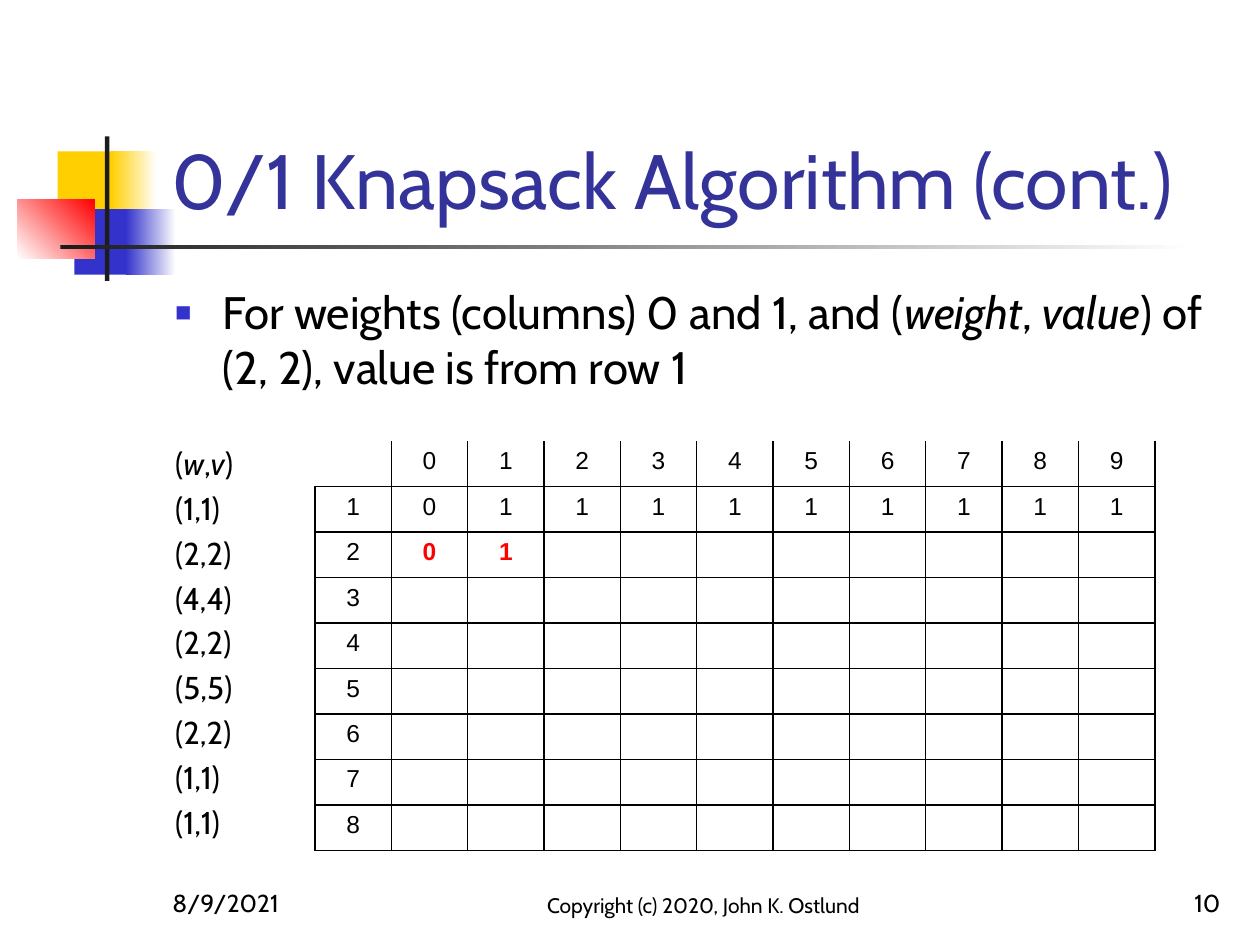
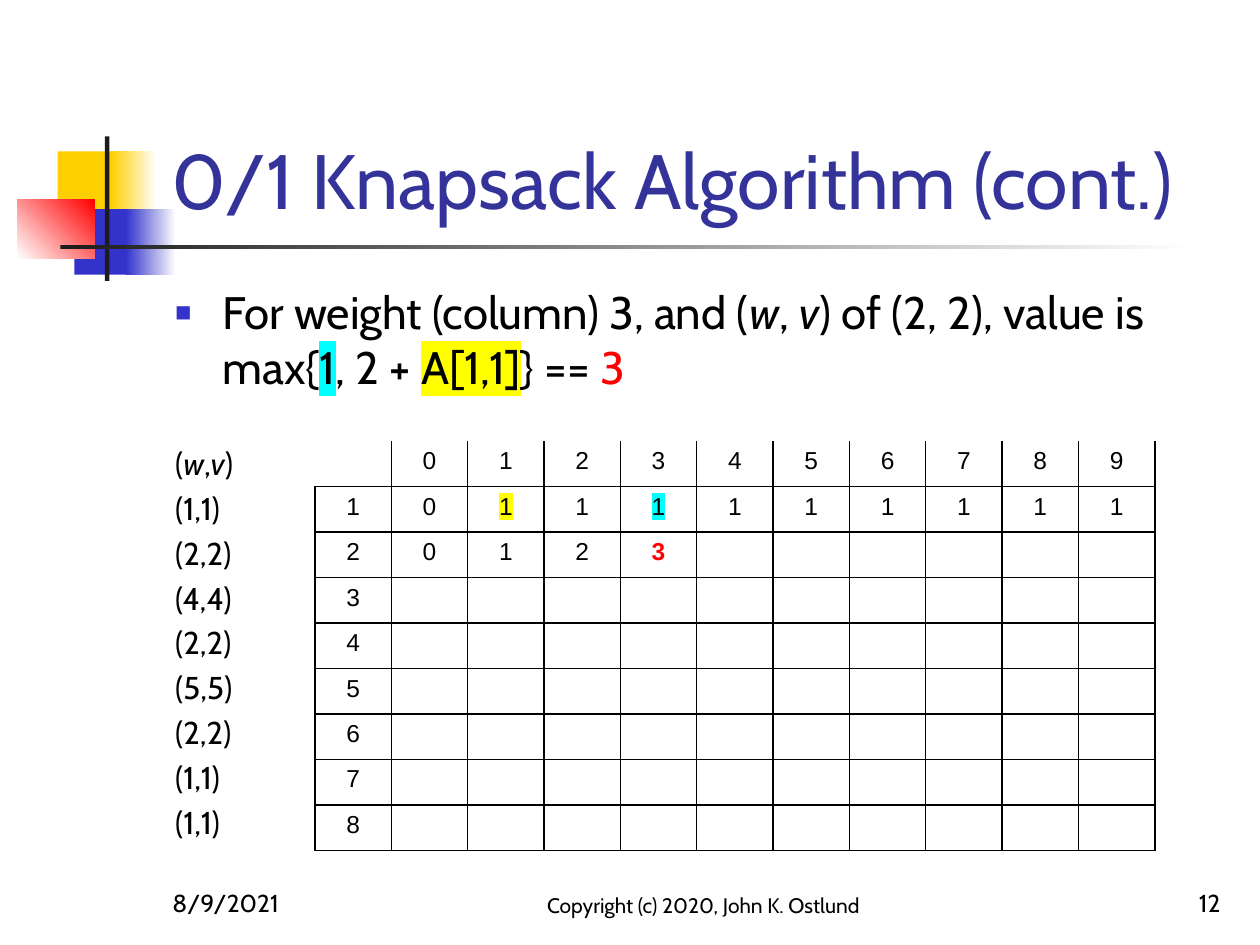
import pptx
import pptx.dml.color
import pptx.enum.shapes
import pptx.enum.text
import pptx.oxml
import pptx.oxml.ns
import pptx.util

Pt = pptx.util.Pt
ALIGN = pptx.enum.text.PP_ALIGN
ANCHOR = pptx.enum.text.MSO_ANCHOR

BLACK, WHITE, RED = "000000", "FFFFFF", "FF0000"
GOLD, BLUE, CHARCOAL, TITLE_BLUE = "FFCF01", "3333CC", "1C1C1C", "333399"
CYAN, YELLOW = "00FFFF", "FFFF00"
TEXT_FONT, GRID_FONT = "Cabin", "Arial"

ITALIC = {"italic": True}
ANSWER = {"color": RED, "bold": True}
TITLE = "0/1 Knapsack Algorithm (cont.)"
DATE = "8/9/2021"
COPYRIGHT = "Copyright (c) 2020, John K. Ostlund"
PAIRS = ["(1,1)", "(2,2)", "(4,4)", "(2,2)", "(5,5)", "(2,2)", "(1,1)", "(1,1)"]
CAPACITIES = [str(w) for w in range(10)]
FIRST_ROW = ["0"] + ["1"] * 9

SLIDES = [
    {
        "number": "10",
        "statement": [
            ("For weights (columns) 0 and 1, and (", {}), ("weight", ITALIC), (", ", {}),
            ("value", ITALIC), (") of (2, 2), value is from row 1", {}),
        ],
        "second_row": ["0", "1"],
        "marks": {(2, 1): ANSWER, (2, 2): ANSWER},
    },
    {
        "number": "12",
        "statement": [
            ("For weight (column) 3, and (", {}), ("w", ITALIC), (", ", {}), ("v", ITALIC),
            (") of (2, 2), value is max{", {}), ("1", {"highlight": CYAN}), (", 2 + ", {}),
            ("A[1,1]", {"highlight": YELLOW}), ("} == ", {}), ("3", {"color": RED}),
        ],
        "second_row": ["0", "1", "2", "3"],
        "marks": {(1, 2): {"highlight": YELLOW}, (1, 4): {"highlight": CYAN}, (2, 4): ANSWER},
    },
]

EMBLEM = [
    ((33, 86.5, 34.5, 37.5), [GOLD], 0),
    ((63.5, 86.5, 26, 37.5), [GOLD, WHITE], 0),
    ((42.5, 119.5, 33, 37.5), [BLUE], 0),
    ((72, 119.5, 28.5, 37.5), [BLUE, WHITE], 0),
    ((10, 114, 44, 33.5), [WHITE, RED], 45),
    ((60, 78, 2.5, 82.5), [CHARCOAL], 0),
    ((34.5, 140, 648, 2.5), [CHARCOAL, WHITE], 0),
]
TITLE_BOX = (91, 16.5, 613, 115.5)
BODY_BOX = (93, 159, 612, 324)
GRID_BOX = (180, 252, 480, 234)
FOOTER_TOP, FOOTER_HEIGHT = 492, 36


def rgb(value):
    """Turn a hex string into a colour."""
    return pptx.dml.color.RGBColor.from_string(value)


def points(box):
    """Turn a box of numbers into lengths."""
    return [Pt(v) for v in box]


def add_run(p, text, size, font=TEXT_FONT, color=BLACK, bold=False, italic=False, highlight=None):
    """Append one formatted run."""
    r = p.add_run()
    r.text = text
    r.font.size, r.font.bold, r.font.italic = Pt(size), bold, italic
    r.font.color.rgb = rgb(color)
    if highlight:
        r.font.fill._xPr.append(pptx.oxml.parse_xml(
            f'<a:highlight {pptx.oxml.ns.nsdecls("a")}><a:srgbClr val="{highlight}"/></a:highlight>'))
    r.font.name = font


def add_box(s, box, anchor):
    """Add a wrapping text box and return its frame."""
    tf = s.shapes.add_textbox(*points(box)).text_frame
    tf.word_wrap = True
    tf.vertical_anchor = anchor
    return tf


def add_emblem(s):
    """Draw the coloured blocks and the crossing bars."""
    for box, colors, angle in EMBLEM:
        sp = s.shapes.add_shape(pptx.enum.shapes.MSO_SHAPE.RECTANGLE, *points(box))
        sp.shadow.inherit = False
        sp.line.fill.background()
        if len(colors) == 1:
            sp.fill.solid()
            sp.fill.fore_color.rgb = rgb(colors[0])
        else:
            sp.fill.gradient()
            sp.fill.gradient_angle = angle
            for stop, color in zip(sp.fill.gradient_stops, colors):
                stop.color.rgb = rgb(color)


def add_title(s):
    """Place and fill the title."""
    sp = s.shapes.title
    sp.left, sp.top, sp.width, sp.height = points(TITLE_BOX)
    tf = sp.text_frame
    tf.auto_size = pptx.enum.text.MSO_AUTO_SIZE.NONE
    tf.vertical_anchor = ANCHOR.BOTTOM
    p = tf.paragraphs[0]
    p.alignment = ALIGN.LEFT
    add_run(p, TITLE, 44, color=TITLE_BLUE)


def add_body(s, statement):
    """Write the bulleted statement and the item list."""
    tf = add_box(s, BODY_BOX, ANCHOR.TOP)
    p = tf.paragraphs[0]
    pPr = p._p.get_or_add_pPr()
    pPr.set("marL", str(Pt(27)))
    pPr.set("indent", str(Pt(-27)))
    ns = pptx.oxml.ns.nsdecls("a")
    for bullet in (f'<a:buClr {ns}><a:srgbClr val="{BLUE}"/></a:buClr>',
                   f'<a:buSzPct {ns} val="60000"/>',
                   f'<a:buFont {ns} typeface="{GRID_FONT}"/>',
                   f'<a:buChar {ns} char="■"/>'):
        pPr.append(pptx.oxml.parse_xml(bullet))
    for text, style in statement:
        add_run(p, text, 26, **style)
    heading = [("(", {}), ("w", ITALIC), (",", {}), ("v", ITALIC), (")", {})]
    for i, item in enumerate([heading] + [[(pair, {})] for pair in PAIRS]):
        p = tf.add_paragraph()
        p.space_before = Pt(0 if i else 29)
        p.space_after = Pt(4)
        for text, style in item:
            add_run(p, text, 18, **style)


def set_borders(cell, hidden):
    """Draw thin black cell borders except on the hidden sides."""
    tcPr = cell._tc.get_or_add_tcPr()
    for side in "LRTB":
        fill = "<a:noFill/>" if side in hidden else (
            f'<a:solidFill><a:srgbClr val="{BLACK}"/></a:solidFill>')
        tcPr.append(pptx.oxml.parse_xml(
            f'<a:ln{side} {pptx.oxml.ns.nsdecls("a")} w="{Pt(1)}">{fill}</a:ln{side}>'))


def add_grid(s, second_row, marks):
    """Add the table of best values by item and capacity."""
    rows = [[""] + CAPACITIES, ["1"] + FIRST_ROW, ["2"] + second_row]
    rows += [[str(i)] for i in range(3, len(PAIRS) + 1)]
    n_rows, n_cols = len(rows), len(rows[0])
    table = s.shapes.add_table(n_rows, n_cols, *points(GRID_BOX)).table
    table.first_row = table.horz_banding = False
    for column in table.columns:
        column.width = Pt(GRID_BOX[2] / n_cols)
    for i, values in enumerate(rows):
        table.rows[i].height = Pt(GRID_BOX[3] / n_rows)
        for j in range(n_cols):
            cell = table.cell(i, j)
            set_borders(cell, "" if i else "T" if j else "LT")
            cell.fill.background()
            p = cell.text_frame.paragraphs[0]
            p.alignment = ALIGN.CENTER
            if j < len(values) and values[j]:
                add_run(p, values[j], 14, GRID_FONT, **marks.get((i, j), {}))
            else:
                p._p.get_or_add_endParaRPr().set("sz", "1400")


def add_footers(s, number):
    """Write the date, the copyright line and the slide number."""
    for left, width, text, size, align in (
            (91.5, 150, DATE, 14, ALIGN.LEFT),
            (288, 228, COPYRIGHT, 12, ALIGN.CENTER),
            (554.5, 150, number, 14, ALIGN.RIGHT)):
        tf = add_box(s, (left, FOOTER_TOP, width, FOOTER_HEIGHT), ANCHOR.BOTTOM)
        p = tf.paragraphs[0]
        p.alignment = align
        add_run(p, text, size)


def main():
    """Build the slides and save them."""
    prs = pptx.Presentation()
    prs.slide_width, prs.slide_height = Pt(720), Pt(540)
    for content in SLIDES:
        s = prs.slides.add_slide(prs.slide_layouts[5])
        add_emblem(s)
        add_title(s)
        add_body(s, content["statement"])
        add_grid(s, content["second_row"], content["marks"])
        add_footers(s, content["number"])
    prs.save("out.pptx")


if __name__ == "__main__":
    main()
